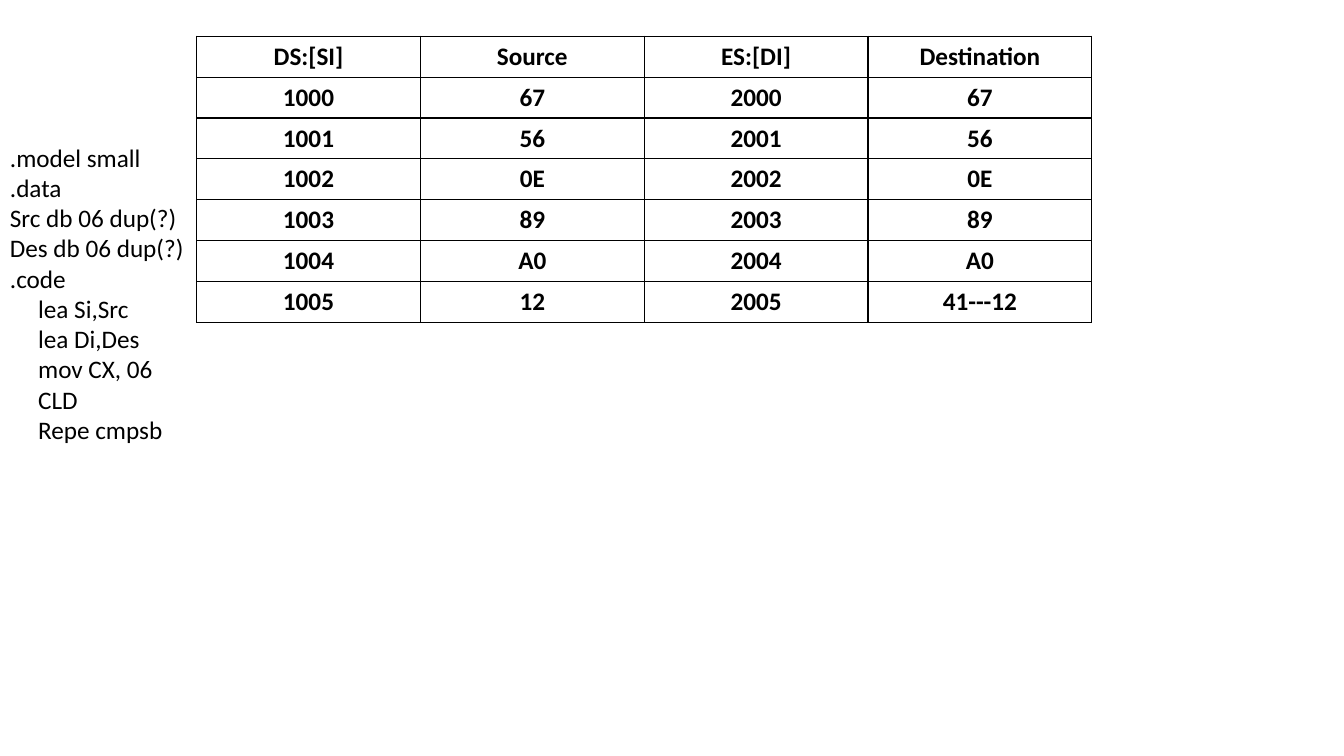
"""Build a slide showing an assembly string comparison beside its memory table."""
from lxml import etree
from pptx import Presentation
from pptx.dml.color import RGBColor
from pptx.enum.text import PP_ALIGN
from pptx.oxml.ns import qn
from pptx.util import Inches, Pt

HEADERS = ("DS:[SI]", "Source", "ES:[DI]", "Destination")
MEMORY = [
    ("1000", "67", "2000", "67"),
    ("1001", "56", "2001", "56"),
    ("1002", "0E", "2002", "0E"),
    ("1003", "89", "2003", "89"),
    ("1004", "A0", "2004", "A0"),
    ("1005", "12", "2005", "41---12"),
]
DIRECTIVES = [".model small", ".data", "Src db 06 dup(?)", "Des db 06 dup(?)", ".code"]
INSTRUCTIONS = ["lea Si,Src", "lea Di,Des", "mov CX, 06", "CLD", "Repe cmpsb"]
THEME = {
    "font": "Calibri",
    "size": Pt(18),
    "ink": RGBColor(0, 0, 0),
    "paper": RGBColor(255, 255, 255),
    "border": Pt(1),
}
TABLE_BOX = [Inches(v) for v in (1.95, 0.36, 8.88, 2.84)]
CODE_BOX = [Inches(v) for v in (0, 1.36, 2.49, 5.25)]
CODE_INDENT = Inches(0.28)


def write(paragraph, text, bold=False):
    run = paragraph.add_run()
    run.text = text
    run.font.name = THEME["font"]
    run.font.size = THEME["size"]
    run.font.bold = bold
    run.font.color.rgb = THEME["ink"]


def add_borders(cell):
    properties = cell._tc.get_or_add_tcPr()
    for index, side in enumerate(("lnL", "lnR", "lnT", "lnB")):
        line = etree.Element(qn(f"a:{side}"), w=str(int(THEME["border"])))
        fill = etree.SubElement(line, qn("a:solidFill"))
        etree.SubElement(fill, qn("a:srgbClr"), val=str(THEME["ink"]))
        properties.insert(index, line)


def add_memory_table(slide):
    rows = [HEADERS, *MEMORY]
    table = slide.shapes.add_table(len(rows), len(HEADERS), *TABLE_BOX).table
    table.first_row = table.horz_banding = False
    for r, values in enumerate(rows):
        for c, value in enumerate(values):
            cell = table.cell(r, c)
            cell.fill.solid()
            cell.fill.fore_color.rgb = THEME["paper"]
            add_borders(cell)
            paragraph = cell.text_frame.paragraphs[0]
            paragraph.alignment = PP_ALIGN.CENTER
            write(paragraph, value, bold=True)


def add_code(slide):
    frame = slide.shapes.add_textbox(*CODE_BOX).text_frame
    frame.word_wrap = True
    lines = [(t, 0) for t in DIRECTIVES] + [(t, CODE_INDENT) for t in INSTRUCTIONS]
    for i, (text, indent) in enumerate(lines):
        paragraph = frame.add_paragraph() if i else frame.paragraphs[0]
        if indent:
            paragraph._p.get_or_add_pPr().set("marL", str(int(indent)))
        write(paragraph, text)


prs = Presentation()
prs.slide_width, prs.slide_height = Inches(13.33), Inches(7.5)
slide = prs.slides.add_slide(prs.slide_layouts[6])
add_memory_table(slide)
add_code(slide)
prs.save("out.pptx")
